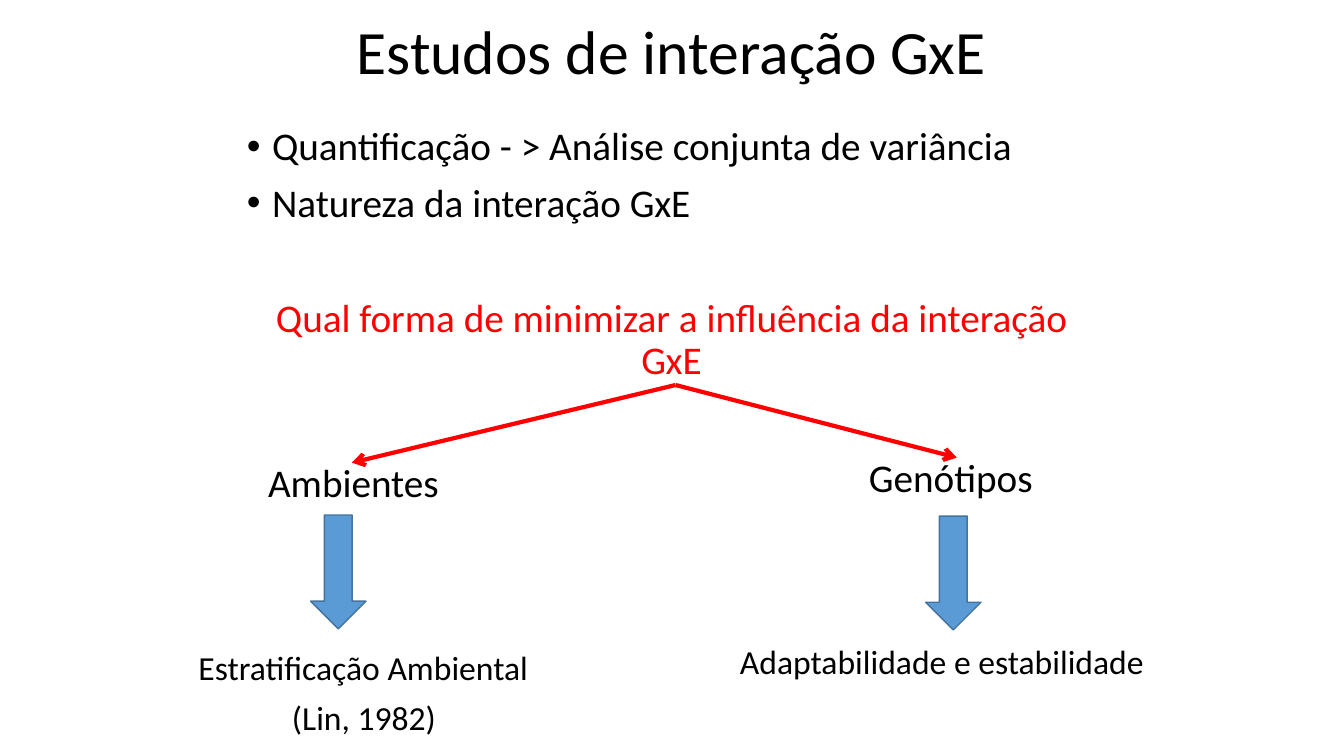
"""Build a slide on the study of genotype by environment interaction."""
from lxml.etree import SubElement as Sub
from pptx import Presentation
from pptx.dml.color import RGBColor as Rgb
from pptx.enum.shapes import MSO_CONNECTOR as Link, MSO_SHAPE as Form
from pptx.enum.text import MSO_ANCHOR as Anchor, PP_ALIGN as Align
from pptx.oxml.ns import qn
from pptx.util import Pt

PX = 9144
BLACK, RED, BLUE, EDGE = "000000", "FF0000", "5B9BD5", "43739E"


def px(*nums):
    """Turn px lengths into EMU."""
    return [num * PX for num in nums]


def hue(code):
    """Turn a hex string into a colour."""
    return Rgb.from_string(code)


def bullet(para):
    """Give a paragraph a hanging round bullet."""
    props = para._p.get_or_add_pPr()
    props.set("marL", str(25 * PX))
    props.set("indent", str(-25 * PX))
    Sub(props, qn("a:buFont"), typeface="Arial")
    Sub(props, qn("a:buChar"), char="•")


def write(slide, box, *lines, size=28, color=BLACK, aligns=(Align.LEFT,),
          lead=0.9, anchor=Anchor.TOP, dots=False):
    """Add a text box with one paragraph a line."""
    frame = slide.shapes.add_textbox(*px(*box)).text_frame
    frame.word_wrap = True
    frame.vertical_anchor = anchor
    for num, line in enumerate(lines):
        para = frame.add_paragraph() if num else frame.paragraphs[0]
        para.alignment = aligns[min(num, len(aligns) - 1)]
        para.line_spacing = lead
        para.space_before = Pt(10 if num else 0)
        if dots:
            bullet(para)
        run = para.add_run()
        run.text = line
        run.font.name = "Calibri"
        run.font.size = Pt(size)
        run.font.color.rgb = hue(color)


def branch(slide, start, end):
    """Add a red line with an open arrowhead at its end."""
    link = slide.shapes.add_connector(Link.STRAIGHT, *px(*start, *end))
    link.line.color.rgb = hue(RED)
    link.line.width = Pt(3)
    Sub(link.line._get_or_add_ln(), qn("a:tailEnd"), type="arrow")
    Sub(link._element.spPr, qn("a:effectLst"))


def drop(slide, left, top):
    """Add a blue block arrow that points down."""
    arrow = slide.shapes.add_shape(Form.DOWN_ARROW, *px(left, top, 55, 113))
    arrow.shadow.inherit = False
    arrow.fill.solid()
    arrow.fill.fore_color.rgb = hue(BLUE)
    arrow.line.color.rgb = hue(EDGE)
    arrow.line.width = Pt(1)


def main():
    """Build and save the slide."""
    deck = Presentation()
    deck.slide_width, deck.slide_height = px(1333, 750)
    slide = deck.slides.add_slide(deck.slide_layouts[6])
    mid = (Align.CENTER,)

    write(slide, (235, -18, 862, 145), "Estudos de interação GxE",
          size=44, aligns=mid, anchor=Anchor.MIDDLE)
    write(slide, (235, 121, 862, 120),
          "Quantificação - > Análise conjunta de variância",
          "Natureza da interação GxE", dots=True)
    write(slide, (235, 291, 862, 95),
          "Qual forma de minimizar a influência da interação GxE",
          color=RED, aligns=mid)

    write(slide, (252, 459, 193, 50), "Ambientes",
          aligns=(Align.RIGHT,), lead=0.8)
    write(slide, (852, 454, 193, 50), "Genótipos", lead=0.8)
    write(slide, (187, 641, 348, 50), "Estratificação Ambiental",
          "(Lin, 1982)", size=24, aligns=(Align.LEFT, Align.CENTER))
    write(slide, (724, 635, 442, 50), "Adaptabilidade e estabilidade", size=24)

    for end in ((349, 459), (949, 454)):
        branch(slide, (670, 382), end)
    for spot in ((308, 511), (918, 512)):
        drop(slide, *spot)
    deck.save("out.pptx")


if __name__ == "__main__":
    main()
